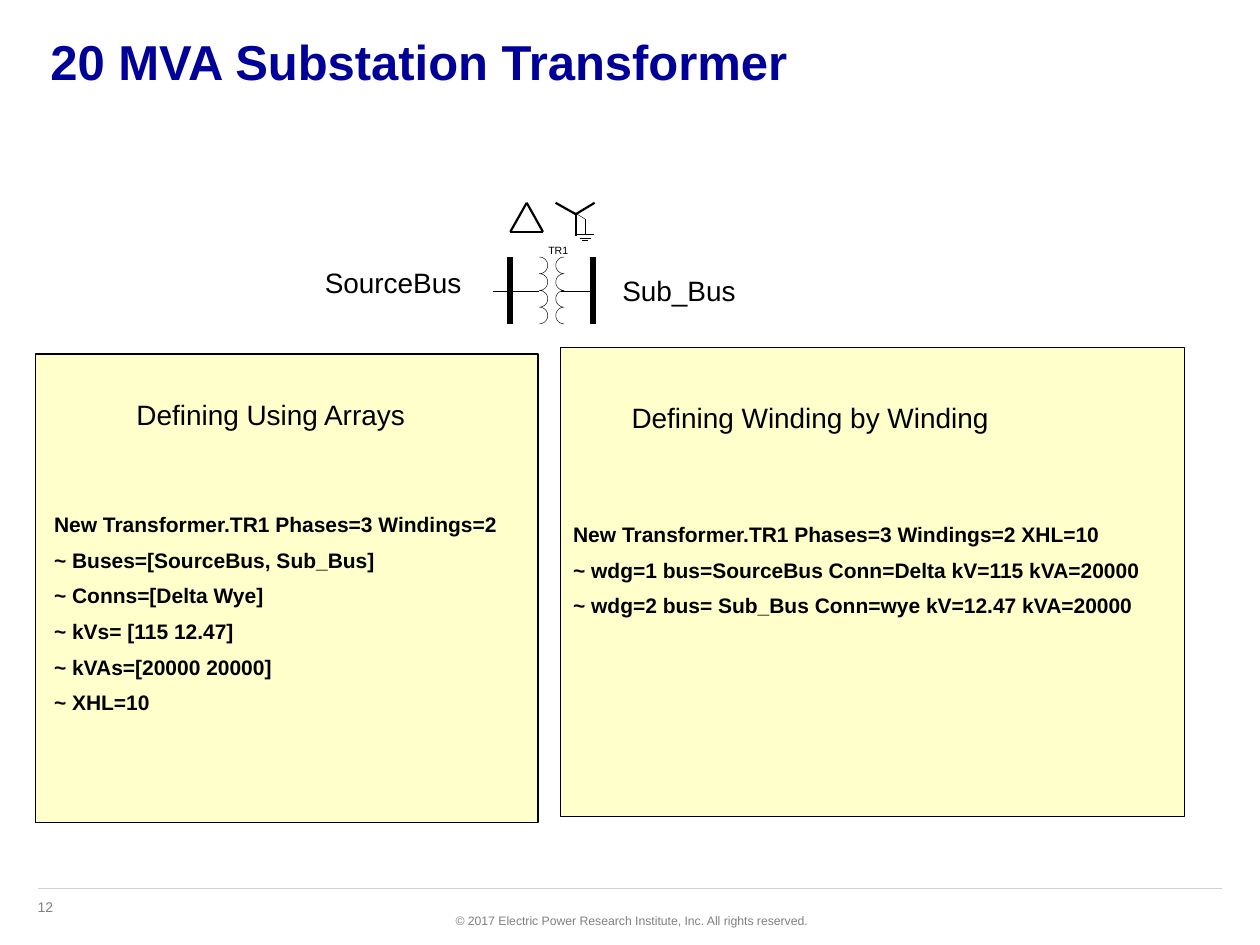
import math
from dataclasses import dataclass

import pptx
import pptx.dml.color
import pptx.enum.shapes
import pptx.enum.text
import pptx.oxml.ns
import pptx.util
from lxml import etree

Pt = pptx.util.Pt
RGB = pptx.dml.color.RGBColor.from_string
ALIGN = pptx.enum.text.PP_ALIGN
ANCHOR = pptx.enum.text.MSO_ANCHOR
AUTOSIZE = pptx.enum.text.MSO_AUTO_SIZE


@dataclass(frozen=True)
class Theme:
    font: str = "Arial"
    ink: str = "000000"
    title_color: str = "000099"
    footer_color: str = "808080"
    rule_color: str = "D1D1D1"
    panel_fill: str = "FFFFCC"
    title_size: float = 28
    label_size: float = 16
    code_size: float = 12
    page_size: float = 8
    copyright_size: float = 7
    symbol_size: float = 6
    hairline: float = 0.25
    border: float = 0.75
    symbol_line: float = 1.25
    bus_line: float = 3.38
    code_gap: float = 6


THEME = Theme()
NO_INSETS = {f"margin_{side}": 0 for side in ("left", "top", "right", "bottom")}

ARRAY_CODE = [
    "New Transformer.TR1 Phases=3 Windings=2",
    "~ Buses=[SourceBus, Sub_Bus]",
    "~ Conns=[Delta Wye]",
    "~ kVs= [115 12.47]",
    "~ kVAs=[20000 20000]",
    "~ XHL=10",
]
WINDING_CODE = [
    "New Transformer.TR1 Phases=3 Windings=2 XHL=10",
    "~ wdg=1 bus=SourceBus Conn=Delta kV=115 kVA=20000",
    "~ wdg=2 bus= Sub_Bus Conn=wye kV=12.47 kVA=20000",
]

SOURCE_X, SUB_X = 291.6, 339.1
COIL_TOP, COIL_BOTTOM = 146.9, 185.1
LEAD_Y = 166.3


def apply(target, values):
    for name, value in values.items():
        setattr(target, name, value)


def style_text(paragraph, size, color=THEME.ink, bold=False):
    apply(paragraph.font, {"name": THEME.font, "size": Pt(size), "bold": bold})
    paragraph.font.color.rgb = RGB(color)


def add_title(slide, text):
    title = slide.shapes.title
    apply(title, {"left": Pt(21.6), "top": Pt(14.4),
                  "width": Pt(676.8), "height": Pt(57.6)})
    apply(title.text_frame, {"text": text, "vertical_anchor": ANCHOR.TOP,
                             "auto_size": AUTOSIZE.NONE})
    heading = title.text_frame.paragraphs[0]
    heading.alignment = ALIGN.LEFT
    style_text(heading, THEME.title_size, THEME.title_color, True)


def add_text(slide, box, lines, size, color=THEME.ink, bold=False,
             align=ALIGN.LEFT, wrap=True, insets=None):
    frame = slide.shapes.add_textbox(*map(Pt, box)).text_frame
    apply(frame, {"word_wrap": wrap, "auto_size": AUTOSIZE.SHAPE_TO_FIT_TEXT,
                  "text": "\n".join(lines), **(insets or {})})
    for index, paragraph in enumerate(frame.paragraphs):
        apply(paragraph, {"alignment": align,
                          "space_before": Pt(THEME.code_gap if index else 0)})
        style_text(paragraph, size, color, bold)


def add_panel(slide, box):
    panel = slide.shapes.add_shape(
        pptx.enum.shapes.MSO_SHAPE.RECTANGLE, *map(Pt, box))
    panel.shadow.inherit = False
    panel.fill.solid()
    panel.fill.fore_color.rgb = RGB(THEME.panel_fill)
    style_line(panel, THEME.border)


def style_line(shape, width, color=THEME.ink):
    shape.line.color.rgb = RGB(color)
    shape.line.width = Pt(width)


def add_line(slide, start, end, width, color=THEME.ink):
    line = slide.shapes.add_connector(
        pptx.enum.shapes.MSO_CONNECTOR.STRAIGHT, *map(Pt, (*start, *end)))
    style_line(line, width, color)
    etree.SubElement(line._element.spPr, pptx.oxml.ns.qn("a:effectLst"))


def add_coil(slide, x, bulge, turns=4, steps=16):
    """Draw half-ellipse turns upwards; the sign of bulge picks the side."""
    pitch = (COIL_BOTTOM - COIL_TOP) / turns
    points = []
    for step in range(turns * steps + 1):
        turn, angle = step // steps, math.pi * (step % steps) / steps
        y = COIL_BOTTOM - pitch * (turn + (1 - math.cos(angle)) / 2)
        points.append((Pt(x + bulge * math.sin(angle)), Pt(y)))
    outline = slide.shapes.build_freeform(*points[0], scale=1.0)
    outline.add_line_segments(points[1:], close=False)
    coil = outline.convert_to_shape()
    coil.shadow.inherit = False
    coil.fill.background()
    style_line(coil, THEME.hairline)


def add_transformer(slide):
    for start_x, end_x in ((281.5, SOURCE_X), (SUB_X, 320.4), (308.2, SOURCE_X)):
        add_line(slide, (start_x, LEAD_Y), (end_x, LEAD_Y), THEME.hairline)
    for x in (SOURCE_X, SUB_X):
        add_line(slide, (x, COIL_TOP), (x, COIL_BOTTOM), THEME.bus_line)
    add_coil(slide, 308.2, 4.8)
    add_coil(slide, 322.4, -4.8)

    delta = [(SOURCE_X, 132.5), (310.3, 132.5), (301, 115.9)]
    for corner, start in enumerate(delta):
        add_line(slide, start, delta[corner - 1], THEME.symbol_line)
    for tip in ((329, 134.6), (339.8, 115.9), (317.5, 115.9)):
        add_line(slide, (329, 122.4), tip, THEME.symbol_line)

    ground_x = 334.5
    for half_width, y in ((4.7, 133.9), (3.2, 136.1), (1.8, 137.5)):
        add_line(slide, (ground_x - half_width, y), (ground_x + half_width, y),
                 THEME.hairline)
    for end in ((ground_x, 133.9), (327.6, 121)):
        add_line(slide, (ground_x, 125.3), end, THEME.hairline)

    add_text(slide, (309, 139.7, 20, 7.2), ["TR1"], THEME.symbol_size,
             align=ALIGN.CENTER, wrap=False, insets=NO_INSETS)


def add_footer(slide):
    add_line(slide, (21.6, 507.6), (698.4, 507.6), THEME.border, THEME.rule_color)
    add_text(slide, (14.4, 509.8, 47.5, 17.3), ["12"],
             THEME.page_size, THEME.footer_color)
    add_text(slide, (251.3, 518.4, 217.4, 15.8),
             ["© 2017 Electric Power Research Institute, Inc. All rights reserved."],
             THEME.copyright_size, THEME.footer_color,
             align=ALIGN.RIGHT, wrap=False)


def main():
    deck = pptx.Presentation()
    apply(deck, {"slide_width": Pt(720), "slide_height": Pt(540)})
    slide = deck.slides.add_slide(deck.slide_layouts.get_by_name("Title Only"))

    add_footer(slide)
    add_title(slide, "20 MVA Substation Transformer")
    for panel in ((320.4, 198.7, 356.4, 267.8), (20.2, 202.3, 287.3, 267.8)):
        add_panel(slide, panel)
    add_transformer(slide)

    for box, code in (((23.8, 288.7, 326.2, 151.2), ARRAY_CODE),
                      ((320.4, 294.5, 373.7, 86.4), WINDING_CODE)):
        add_text(slide, box, code, THEME.code_size, bold=True)
    for text, x, y, width, align in (
            ("Defining Using Arrays", 33.8, 223.9, 241.9, ALIGN.CENTER),
            ("Defining Winding by Winding", 342, 225.4, 241.9, ALIGN.CENTER),
            ("Sub_Bus", 348.5, 152.6, 137.5, ALIGN.LEFT),
            ("SourceBus", 133.2, 148.3, 137.5, ALIGN.RIGHT)):
        add_text(slide, (x, y, width, 26.6), [text], THEME.label_size, align=align)

    deck.save("out.pptx")


if __name__ == "__main__":
    main()
